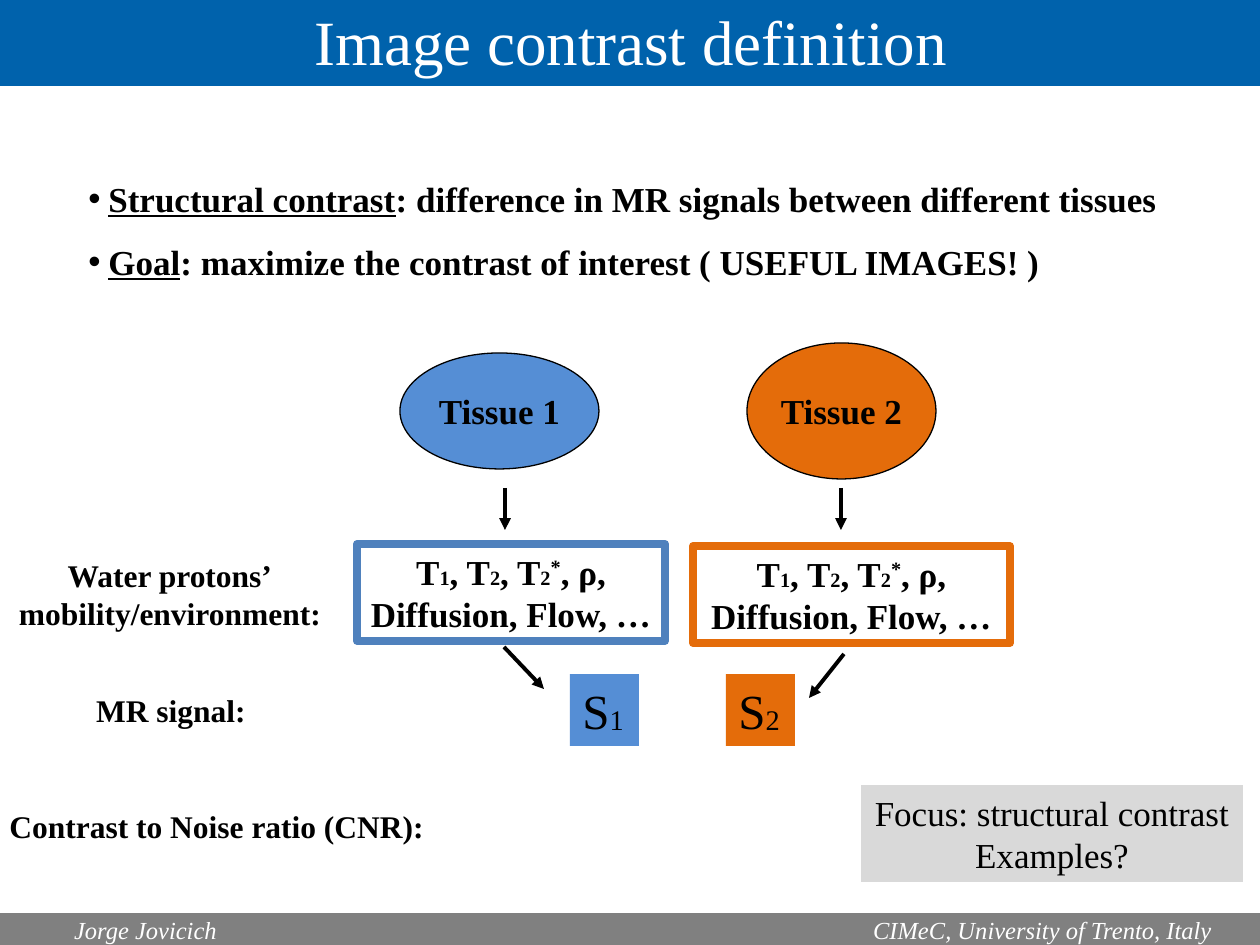
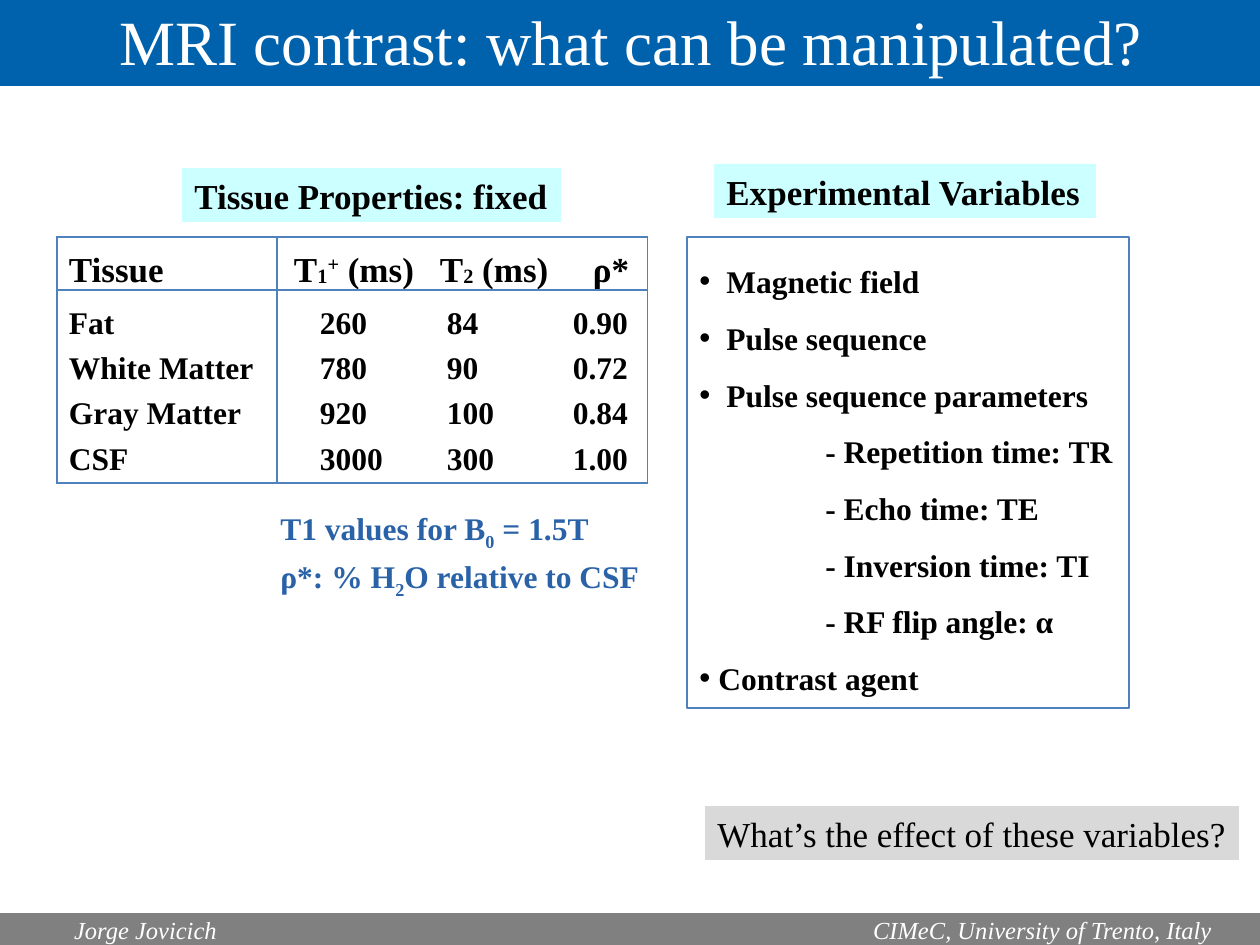
import pptx
import pptx.util
from lxml import etree
from pptx.dml.color import RGBColor
from pptx.enum.shapes import MSO_CONNECTOR, MSO_SHAPE
from pptx.enum.text import MSO_ANCHOR, PP_ALIGN
from pptx.oxml.ns import qn

BLACK = RGBColor(0, 0, 0)
WHITE = RGBColor(0xFF, 0xFF, 0xFF)
TITLE_BLUE = RGBColor(0x00, 0x62, 0xAC)
FOOTER_GRAY = RGBColor(0x80, 0x80, 0x80)
NOTE_GRAY = RGBColor(0xD9, 0xD9, 0xD9)
TISSUE_BLUE = RGBColor(0x55, 0x8E, 0xD5)
TISSUE_ORANGE = RGBColor(0xE4, 0x6C, 0x0A)
FRAME_BLUE = RGBColor(0x4F, 0x81, 0xBD)
HEADING_CYAN = RGBColor(0xCC, 0xFF, 0xFF)
CAPTION_BLUE = RGBColor(0x2A, 0x62, 0xA8)

W, H = 1260, 945
PX = 914400 / 126
CENTER, RIGHT = PP_ALIGN.CENTER, PP_ALIGN.RIGHT
LOW, HIGH, SUB = -2, 30, -25  # baseline shifts in percent


def px(n):
    return pptx.util.Emu(round(n * PX))


def bullet(p, indent):
    pPr = p._p.get_or_add_pPr()
    pPr.set("marL", str(px(indent)))
    pPr.set("indent", str(-px(indent)))
    etree.SubElement(pPr, qn("a:buFont"), typeface="Arial")
    etree.SubElement(pPr, qn("a:buChar"), char="•")


class Deck:
    base = dict(name="Times New Roman", size=20, bold=False, italic=False, color=BLACK)

    def __init__(self):
        self.prs = pptx.Presentation()
        self.prs.slide_width, self.prs.slide_height = px(W), px(H)
        self.s = None

    def slide(self, title):
        """Start a slide with its title band and footer."""
        self.s = self.prs.slides.add_slide(self.prs.slide_layouts[6])
        self.box(0, -6, 1262, 92, [title], fill=TITLE_BLUE, align=CENTER, wrap=True,
                 anchor=MSO_ANCHOR.MIDDLE, size=36, color=WHITE)
        footer = dict(fill=FOOTER_GRAY, anchor=MSO_ANCHOR.MIDDLE, wrap=True,
                      size=14, italic=True, color=WHITE)
        self.box(0, 913, 639, 34, ["Jorge Jovicich"], left=74, **footer)
        self.box(623, 913, 639, 34, ["CIMeC, University of Trento, Italy"],
                 align=RIGHT, right=50, **footer)

    def runs(self, p, parts, **style):
        """Fill a paragraph from strings and (string, format) pairs."""
        for part in [parts] if isinstance(parts, str) else parts:
            text, extra = (part, {}) if isinstance(part, str) else part
            fmt = {**self.base, **style, **extra}
            r = p.add_run()
            r.text = text
            r.font.color.rgb = fmt.pop("color")
            shift = fmt.pop("baseline", 0)
            fmt["size"] = pptx.util.Pt(fmt["size"])
            for key, value in fmt.items():
                setattr(r.font, key, value)
            if shift:
                r._r.get_or_add_rPr().set("baseline", str(shift * 1000))

    def box(self, x, y, w, h, paras, shape=MSO_SHAPE.RECTANGLE, fill=None, line=None,
            line_width=0.75, align=PP_ALIGN.LEFT, anchor=MSO_ANCHOR.TOP, wrap=False,
            spacing=None, indents=None, left=None, right=None, **style):
        """Text in a shape, or in a text box when there is neither fill nor line.

        indents: one (pixels, has bullet) pair per paragraph.
        """
        area = [px(n) for n in (x, y, w, h)]
        if fill is None and line is None:
            sp = self.s.shapes.add_textbox(*area)
        else:
            sp = self.s.shapes.add_shape(shape, *area)
            sp.shadow.inherit = False
            if fill is None:
                sp.fill.background()
            else:
                sp.fill.solid()
                sp.fill.fore_color.rgb = fill
            if line is None:
                sp.line.fill.background()
            else:
                sp.line.color.rgb = line
                sp.line.width = pptx.util.Pt(line_width)
        tf = sp.text_frame
        tf.word_wrap = wrap
        tf.vertical_anchor = anchor
        if left is not None:
            tf.margin_left = px(left)
        if right is not None:
            tf.margin_right = px(right)
        for i, parts in enumerate(paras):
            p = tf.add_paragraph() if i else tf.paragraphs[0]
            if indents:
                indent, has_bullet = indents[i]
                if has_bullet:
                    bullet(p, indent)
                else:
                    p._p.get_or_add_pPr().set("marL", str(px(indent)))
            p.alignment = align
            if spacing:
                p.line_spacing = spacing
            self.runs(p, parts, **style)

    def arrow(self, x1, y1, x2, y2):
        sp = self.s.shapes.add_connector(MSO_CONNECTOR.STRAIGHT, *map(px, (x1, y1, x2, y2)))
        sp.line.color.rgb = BLACK
        sp.line.width = pptx.util.Pt(2.25)
        spPr = sp._element.spPr
        etree.SubElement(spPr.find(qn("a:ln")), qn("a:tailEnd"), type="triangle")
        etree.SubElement(spPr, qn("a:effectLst"))

    def table(self, x, y, widths, heights, rows, insets):
        """Framed table with a rule under the header and one after the first column.

        insets: left margins of the header cells, then of the body cells.
        """
        area = [px(n) for n in (x, y, sum(widths), sum(heights))]
        tbl = self.s.shapes.add_table(len(rows), len(widths), *area).table
        tbl.first_row = tbl.horz_banding = False
        for col, width in zip(tbl.columns, widths):
            col.width = px(width)
        last_row, last_col = len(rows) - 1, len(widths) - 1
        for i, row in enumerate(rows):
            tbl.rows[i].height = px(heights[i])
            for j, parts in enumerate(row):
                cell = tbl.cell(i, j)
                cell.fill.background()
                cell.vertical_anchor = MSO_ANCHOR.BOTTOM
                cell.margin_left = px(insets[min(i, 1)][j])
                cell.margin_right = cell.margin_top = 0
                cell.margin_bottom = px(6 if i else 0)
                self.runs(cell.text_frame.paragraphs[0], parts, bold=True, size=18 if i else 20)
                self.borders(cell, lnL=j <= 1, lnR=j in (0, last_col),
                             lnT=i <= 1, lnB=i in (0, last_row))

    def borders(self, cell, **sides):
        tcPr = cell._tc.get_or_add_tcPr()
        for i, (side, shown) in enumerate(sides.items()):
            ln = etree.Element(qn("a:" + side), w=str(pptx.util.Pt(0.75)))
            if shown:
                fill = etree.SubElement(ln, qn("a:solidFill"))
                etree.SubElement(fill, qn("a:srgbClr"), val=str(FRAME_BLUE))
            else:
                etree.SubElement(ln, qn("a:noFill"))
            tcPr.insert(i, ln)


def shifted(text, baseline):
    return text, dict(baseline=baseline)


def underlined(text):
    return text, dict(underline=True)


def contrast_definition(d):
    d.slide("Image contrast definition")
    d.box(76, 150, 1111, 140,
          [[underlined("Structural contrast"),
            ": difference in MR signals between different tissues"],
           [underlined("Goal"), ": maximize the contrast of interest ( USEFUL IMAGES! )"]],
          wrap=True, spacing=1.5, indents=[(20, True)] * 2, bold=True)

    ellipse = dict(shape=MSO_SHAPE.OVAL, line=BLACK, align=CENTER,
                   anchor=MSO_ANCHOR.MIDDLE, bold=True)
    d.box(400, 353, 199, 116, ["Tissue 1"], fill=TISSUE_BLUE, **ellipse)
    d.box(747, 343, 189, 136, ["Tissue 2"], fill=TISSUE_ORANGE, **ellipse)

    factors = [["T", shifted("1", LOW), ", T", shifted("2", LOW), ", T",
                shifted("2", LOW), shifted("*", HIGH), ", ρ,"],
               "Diffusion, Flow, …"]
    for x, y, w, color in ((357, 544, 308, FRAME_BLUE), (693, 546, 317, TISSUE_ORANGE)):
        d.box(x, y, w, 97, factors, line=color, line_width=4.5, align=CENTER, bold=True)
    for x, number, color in ((570, "1", TISSUE_BLUE), (726, "2", TISSUE_ORANGE)):
        d.box(x, 674, 69, 72, [["S", shifted(number, LOW)]], fill=color, size=28)
    for ends in ((505, 488, 505, 530), (841, 488, 841, 530),
                 (504, 647, 544, 689), (844, 654, 809, 698)):
        d.arrow(*ends)

    label = dict(size=18, bold=True)
    d.box(5, 550, 330, 89, ["Water protons’", "mobility/environment:"], align=CENTER, **label)
    d.box(83, 685, 176, 50, ["MR signal:"], align=CENTER, **label)
    d.box(-3, 801, 445, 50, ["Contrast to Noise ratio (CNR):"], **label)
    d.box(861, 785, 382, 97, ["Focus: structural contrast", "Examples?"],
          fill=NOTE_GRAY, align=CENTER)


def contrast_variables(d):
    d.slide("MRI contrast: what can be manipulated?")
    heading = dict(fill=HEADING_CYAN, bold=True)
    d.box(182, 168, 379, 54, ["Tissue Properties: fixed"], **heading)
    d.box(714, 164, 382, 54, ["Experimental Variables"], **heading)

    header = ["Tissue",
              ["T", shifted("1", LOW), shifted("+", HIGH), " (ms)"],
              ["T", shifted("2", LOW), " (ms)"],
              "ρ*"]
    d.table(57, 237, (220, 150, 130, 91), (53, 57, 45, 45, 46),
            [header,
             ("Fat", "260", "84", "0.90"),
             ("White Matter", "780", "90", "0.72"),
             ("Gray Matter", "920", "100", "0.84"),
             ("CSF", "3000", "300", "1.00")],
            insets=((12, 17, 13, 36), (12, 43, 20, 16)))
    d.box(268, 499, 387, 96,
          [["T1 values for B", shifted("0", SUB), " = 1.5T"],
           ["ρ*: % H", shifted("2", SUB), "O relative to CSF"]],
          spacing=1.1, size=18, bold=True, color=CAPTION_BLUE)

    d.box(687, 237, 442, 471,
          ["Magnetic field", "Pulse sequence", "Pulse sequence parameters",
           "- Repetition time: TR", "- Echo time: TE", "- Inversion time: TI",
           "- RF flip angle: α", "Contrast agent"],
          line=FRAME_BLUE, wrap=True, spacing=1.5, size=18, bold=True, right=0,
          indents=[(27, True)] * 3 + [(126, False)] * 4 + [(19, True)])
    d.box(705, 806, 534, 54, ["What’s the effect of these variables?"], fill=NOTE_GRAY)


def main():
    d = Deck()
    contrast_definition(d)
    contrast_variables(d)
    d.prs.save("out.pptx")


if __name__ == "__main__":
    main()
